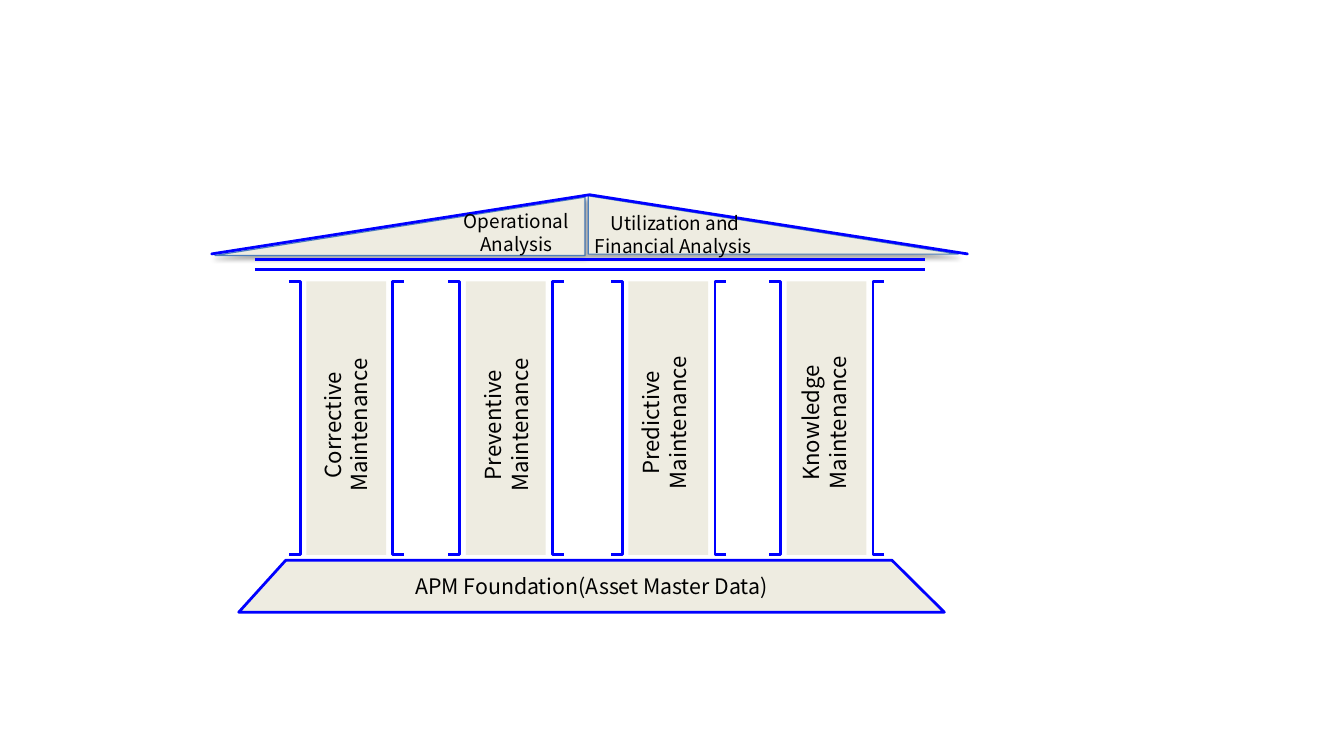
"""Build the asset performance management temple slide."""
from lxml import etree
from pptx import Presentation
from pptx.dml.color import RGBColor
from pptx.enum.shapes import MSO_CONNECTOR, MSO_SHAPE
from pptx.enum.text import MSO_ANCHOR, MSO_AUTO_SIZE, PP_ALIGN
from pptx.oxml import parse_xml
from pptx.oxml.ns import nsdecls, qn
from pptx.util import Cm, Pt

STRAIGHT = MSO_CONNECTOR.STRAIGHT
TRIANGLE = MSO_SHAPE.RIGHT_TRIANGLE
CHEVRON = MSO_SHAPE.CHEVRON
RECTANGLE = MSO_SHAPE.RECTANGLE
LEFT_BRACKET = MSO_SHAPE.LEFT_BRACKET
RIGHT_BRACKET = MSO_SHAPE.RIGHT_BRACKET
MIDDLE = MSO_ANCHOR.MIDDLE
CENTER = PP_ALIGN.CENTER
FIT_SHAPE = MSO_AUTO_SIZE.SHAPE_TO_FIT_TEXT

STONE = RGBColor(0xEE, 0xEC, 0xE1)
BLUE = RGBColor(0x00, 0x00, 0xFF)
STEEL = RGBColor(0x4B, 0x7E, 0xBC)
GREEN = RGBColor(0x92, 0xD0, 0x50)
BLACK = RGBColor(0x00, 0x00, 0x00)
FONT = "Noto Sans CJK SC"
SHADOW = (
    f'<a:effectLst {nsdecls("a")}><a:outerShdw blurRad="40000" dist="23000" '
    'dir="5400000" rotWithShape="0"><a:srgbClr val="000000">'
    '<a:alpha val="35000"/></a:srgbClr></a:outerShdw></a:effectLst>'
)


def style(shape, fill=None, line=None, width=1.75):
    shape.shadow.inherit = False
    if fill is None:
        shape.fill.background()
    else:
        shape.fill.solid()
        shape.fill.fore_color.rgb = fill
    if line is None:
        shape.line.fill.background()
    else:
        shape.line.color.rgb = line
        shape.line.width = Pt(width)


def write(shape, lines, size, inset=True):
    frame = shape.text_frame
    frame.word_wrap = True
    if not inset:
        frame.vertical_anchor = MIDDLE
        frame.margin_left = frame.margin_right = 0
        frame.margin_top = frame.margin_bottom = 0
    frame.text = "\n".join(lines)
    for paragraph in frame.paragraphs:
        paragraph.alignment = CENTER
        paragraph.font.size = Pt(size)
        paragraph.font.name = FONT
        paragraph.font.color.rgb = BLACK


presentation = Presentation()
presentation.slide_width = Cm(30)
presentation.slide_height = Cm(16.8)
slide = presentation.slides.add_slide(presentation.slide_layouts[6])
shapes = slide.shapes

for left, top, flipped in [(4.8, 4.4, True), (13.13, 4.37, False)]:
    gable = shapes.add_shape(TRIANGLE, Cm(left), Cm(top), Cm(8.26), Cm(1.3))
    style(gable, STONE, STEEL, 0.75)
    properties = gable._element.spPr
    properties.remove(properties.find(qn("a:effectLst")))
    properties.append(parse_xml(SHADOW))
    if flipped:
        properties.find(qn("a:xfrm")).set("flipH", "1")

roof = shapes.add_shape(CHEVRON, Cm(12.5), Cm(-3.43), Cm(1.32), Cm(16.87))
roof.adjustments[0] = 1
roof.rotation = 270
style(roof, GREEN, BLUE)

for y in (5.79, 6.02):
    beam = shapes.add_connector(STRAIGHT, Cm(5.69), Cm(y), Cm(20.65), Cm(y))
    beam.line.color.rgb = BLUE
    beam.line.width = Pt(1.75)
    etree.SubElement(beam._element.spPr, qn("a:effectLst"))

foundation_builder = shapes.build_freeform(Cm(6.38), Cm(12.5))
foundation_builder.add_line_segments(
    [(Cm(x), Cm(y)) for x, y in [(5.33, 13.66), (21.08, 13.66), (19.91, 12.5)]]
)
foundation = foundation_builder.convert_to_shape()
style(foundation, STONE, BLUE)
write(foundation, ["APM Foundation(Asset Master Data)"], 13.5, inset=False)

pillars = [
    (6.45, 5.08, 8.76, "Corrective"),
    (10.01, 8.66, 8.76, "Preventive"),
    (13.64, 12.19, 8.71, "Predictive"),
    (17.17, 15.77, 8.71, "Knowledge"),
]
for left, label_left, label_top, kind in pillars:
    pillar = shapes.add_group_shape()
    for offset, width, preset in [
        (0, 0.25, RIGHT_BRACKET),
        (2.32, 0.25, LEFT_BRACKET),
        (0.39, 1.78, RECTANGLE),
    ]:
        part = pillar.shapes.add_shape(
            preset, Cm(left + offset), Cm(6.28), Cm(width), Cm(6.1)
        )
        if preset == RECTANGLE:
            style(part, STONE)
        else:
            part.adjustments[0] = 0
            style(part, line=BLUE)
    label = shapes.add_textbox(Cm(label_left), Cm(label_top), Cm(5.28), Cm(1.45))
    label.rotation = 270
    write(label, [kind, "Maintenance"], 14)
    label.text_frame.auto_size = FIT_SHAPE

for left, top, lines in [
    (9.25, 4.67, ["Operational ", "Analysis "]),
    (12.75, 4.72, ["Utilization and Financial Analysis "]),
]:
    caption = shapes.add_textbox(Cm(left), Cm(top), Cm(4.65), Cm(1.02))
    write(caption, lines, 12, inset=False)
    caption.text_frame.auto_size = FIT_SHAPE

presentation.save("out.pptx")
